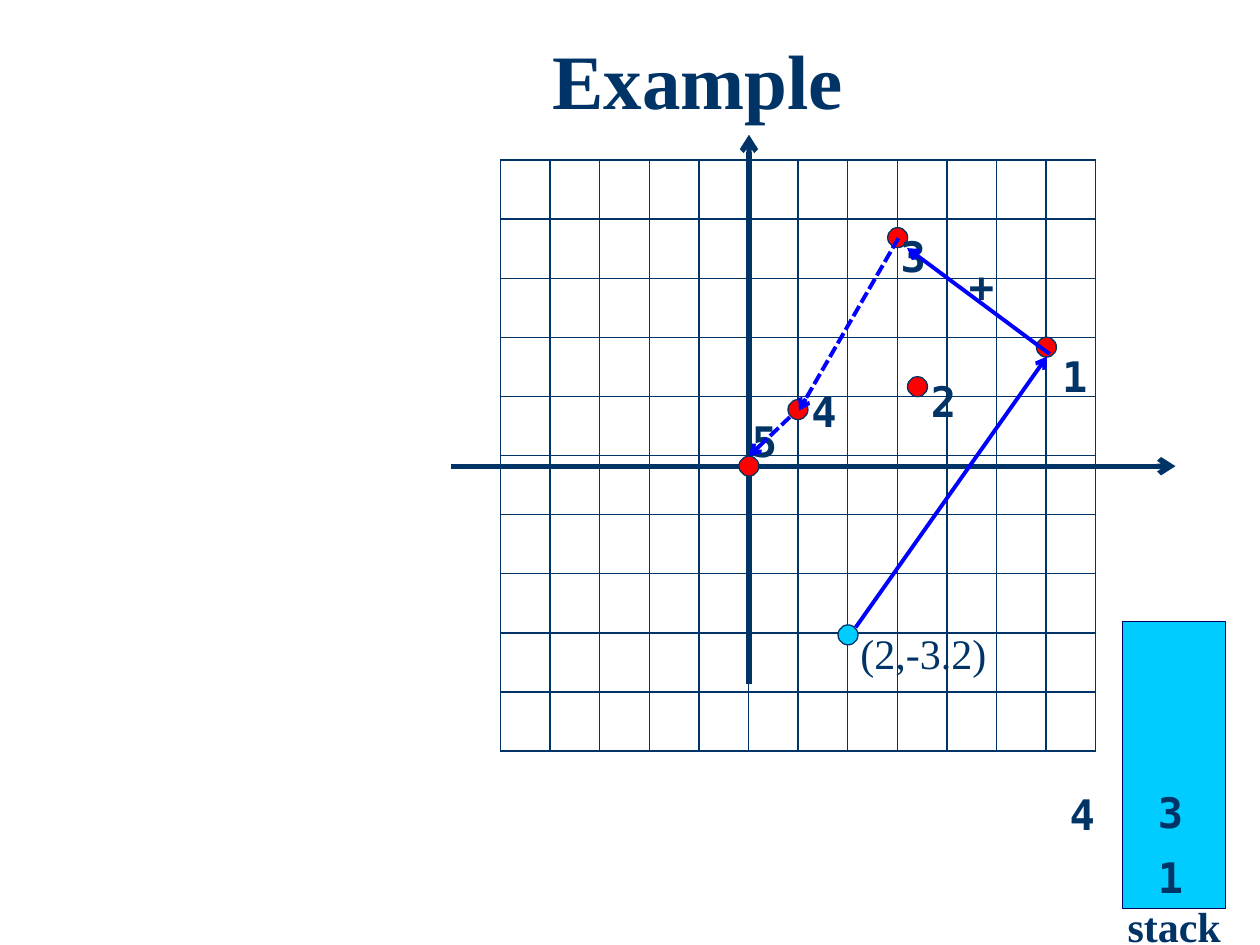
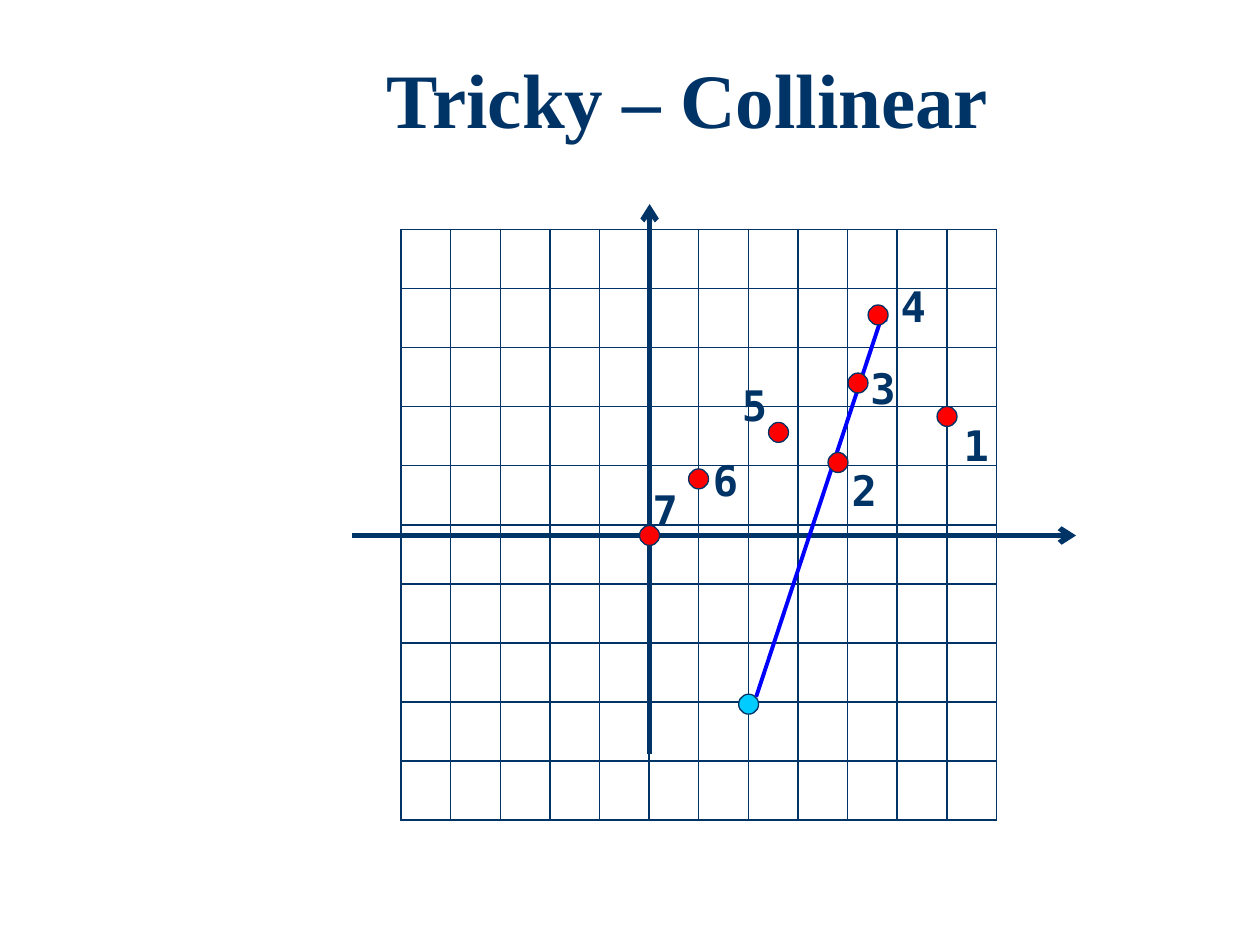
"""Build two slides that show a convex hull scan on a coordinate grid."""
import pptx
import pptx.util
import pptx.dml.color
import pptx.enum.dml
import pptx.enum.shapes
import pptx.enum.text
import pptx.oxml
import pptx.oxml.ns

Pt = pptx.util.Pt
SHAPE = pptx.enum.shapes.MSO_SHAPE

NAVY, RED, CYAN, BLUE, STACK_EDGE = "003366", "FF0000", "00CCFF", "0000FF", "000066"
SERIF, MONO = "Times New Roman", "DejaVu Sans Mono"

COLS, ROWS, COL_W, ROW_H = 12, 10, 28.35, 33.77
GRID_OFFSET = (-142, -174.9)
AXES = [((-170, 0), (243.7, 0)), ((0, 124.6), (0, -189.4))]
DOT = 11.4
PIVOT = (56.6, 96.4)

# Dots, labels and arrows are measured from the origin of the axes.
SLIDES = [
    {
        "title": "Example", "title_at": (110.9, 15.1), "origin": (428, 266.4),
        "order": ("dots", "labels", "arrows"),
        "dots": [(0, 0), (28, -32.3), (96.3, -45.4), (85, -130.6), (170, -68)],
        "labels": [("1", 171.8, -69.8), ("2", 96.9, -55.4), ("3", 79.6, -138.2),
                   ("4", 28.5, -49.7), ("5", -5.4, -32.4), ("+", 118.5, -121)],
        "arrows": [((60.9, 92.2), (170.3, -62.6), False),
                   ((171.8, -64.1), (90.4, -124.6), False),
                   ((85.4, -130.3), (28.5, -31.7), True),
                   ((23.4, -28.1), (0, -5.8), True)],
    },
    {
        "title": "Tricky – Collinear", "title_at": (105.1, 25.9), "origin": (371.2, 306),
        "order": ("arrows", "dots", "labels"),
        "dots": [(0, 0), (28, -32.3), (73.7, -58.9), (170, -68),
                 (119.1, -87.1), (107.7, -41.7), (130.6, -126)],
        "labels": [("1", 172.4, -69.8), ("2", 108.3, -43.9), ("3", 119.1, -102.2),
                   ("4", 136.4, -149), ("5", 45.7, -92.9), ("6", 29.1, -49.7),
                   ("7", -5.4, -32.4)],
        "arrows": [((60.9, 92.2), (134.2, -129.6), False)],
    },
]
STACK_BOX = (641.5, 355, 59, 164.2)
STACK_LABELS = [("1", 654.5, 483.1), ("4", 604.1, 447.1), ("3", 654.5, 445.7)]


def rgb(color):
    """Turn a hex string into a colour."""
    return pptx.dml.color.RGBColor.from_string(color)


def format_text(tf, text, size=24, font=MONO, bold=True):
    """Write one formatted run and return its paragraph."""
    p = tf.paragraphs[0]
    r = p.add_run()
    r.text = text
    r.font.size, r.font.name, r.font.bold = Pt(size), font, bold
    r.font.color.rgb = rgb(NAVY)
    return p


def add_label(s, text, x, y, w=28.1, **style):
    """Add a text box that does not wrap."""
    tf = s.shapes.add_textbox(Pt(x), Pt(y), Pt(w), Pt(36)).text_frame
    tf.word_wrap = False
    format_text(tf, text, **style)


def add_shape(s, kind, x, y, w, h, fill, edge=NAVY):
    """Add a filled shape with a thin edge."""
    sp = s.shapes.add_shape(kind, Pt(x), Pt(y), Pt(w), Pt(h))
    sp.shadow.inherit = False
    sp.fill.solid()
    sp.fill.fore_color.rgb = rgb(fill)
    sp.line.color.rgb = rgb(edge)
    sp.line.width = Pt(0.75)


def add_dot(s, x, y, fill=RED):
    """Add a dot centred on a point."""
    add_shape(s, SHAPE.OVAL, x - DOT / 2, y - DOT / 2, DOT, DOT, fill)


def add_arrow(s, start, end, color, width, dashed=False):
    """Add a straight line with an open arrowhead at its end."""
    c = s.shapes.add_connector(pptx.enum.shapes.MSO_CONNECTOR.STRAIGHT,
                               *(Pt(v) for v in (*start, *end)))
    c.line.color.rgb = rgb(color)
    c.line.width = Pt(width)
    if dashed:
        c.line.dash_style = pptx.enum.dml.MSO_LINE.SQUARE_DOT
    ns = pptx.oxml.ns.nsdecls("a")
    c.line._get_or_add_ln().append(pptx.oxml.parse_xml(f'<a:tailEnd {ns} type="arrow"/>'))
    c._element.spPr.append(pptx.oxml.parse_xml(f"<a:effectLst {ns}/>"))


def add_grid(s, x, y):
    """Add the empty table that serves as graph paper."""
    table = s.shapes.add_table(ROWS, COLS, Pt(x), Pt(y),
                               Pt(COLS * COL_W), Pt(ROWS * ROW_H)).table
    table.first_row = table.horz_banding = False
    for col in table.columns:
        col.width = Pt(COL_W)
    for row in table.rows:
        row.height = Pt(ROW_H)
    ns = pptx.oxml.ns.nsdecls("a")
    for cell in table.iter_cells():
        for side in "LRTB":
            cell._tc.get_or_add_tcPr().append(pptx.oxml.parse_xml(
                f'<a:ln{side} {ns} w="{Pt(1)}"><a:solidFill><a:srgbClr val="{NAVY}"/>'
                f"</a:solidFill></a:ln{side}>"))
        cell.fill.background()


def add_title(s, text, x, y):
    """Fill and place the title placeholder."""
    sp = s.shapes.title
    sp.left, sp.top, sp.width, sp.height = Pt(x), Pt(y), Pt(576), Pt(66.2)
    sp.text_frame.vertical_anchor = pptx.enum.text.MSO_ANCHOR.MIDDLE
    p = format_text(sp.text_frame, text, size=44, font=SERIF)
    p.alignment = pptx.enum.text.PP_ALIGN.CENTER
    p.line_spacing = 0.9


def add_plot(prs, plot):
    """Add a slide with title, grid, axes, dots, labels and arrows."""
    s = prs.slides.add_slide(prs.slide_layouts[5])
    add_title(s, plot["title"], *plot["title_at"])

    def at(point):
        return tuple(o + v for o, v in zip(plot["origin"], point))

    add_grid(s, *at(GRID_OFFSET))
    for start, end in AXES:
        add_arrow(s, at(start), at(end), NAVY, 3)
    for layer in plot["order"]:
        for item in plot[layer]:
            if layer == "dots":
                add_dot(s, *at(item))
            elif layer == "labels":
                add_label(s, item[0], *at(item[1:]))
            else:
                start, end, dashed = item
                add_arrow(s, at(start), at(end), BLUE, 2.25, dashed)
    add_dot(s, *at(PIVOT), CYAN)
    return s


def main():
    """Build and save both slides."""
    prs = pptx.Presentation()
    prs.slide_width, prs.slide_height = Pt(720), Pt(540)
    example, _ = [add_plot(prs, plot) for plot in SLIDES]
    add_label(example, "(2,-3.2)", 484.6, 355, w=87.1, font=SERIF, bold=False)
    add_shape(example, SHAPE.RECTANGLE, *STACK_BOX, CYAN, STACK_EDGE)
    add_label(example, "stack", 637.2, 511.2, w=68.4, font=SERIF)
    for text, x, y in STACK_LABELS:
        add_label(example, text, x, y)
    prs.save("out.pptx")


if __name__ == "__main__":
    main()
